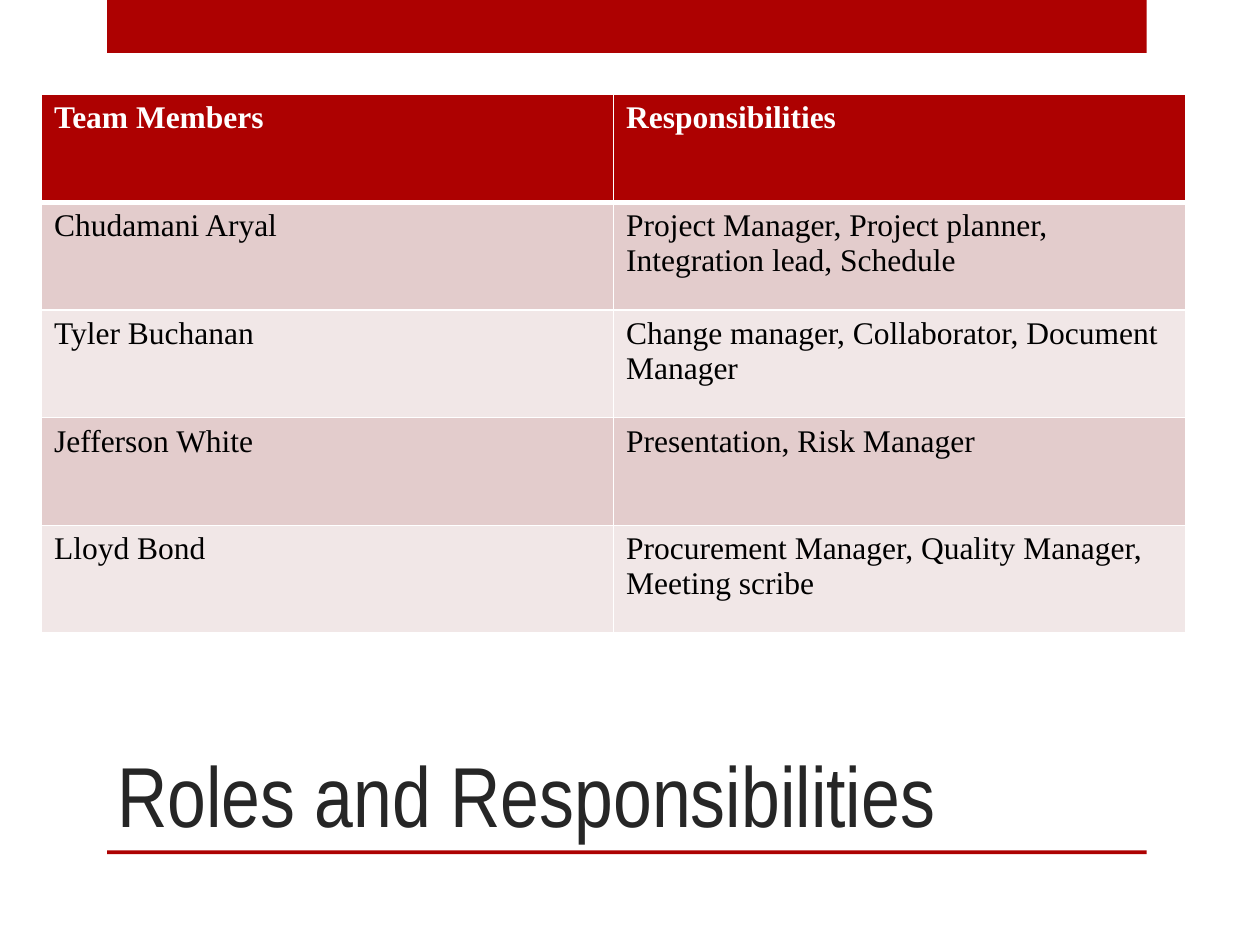
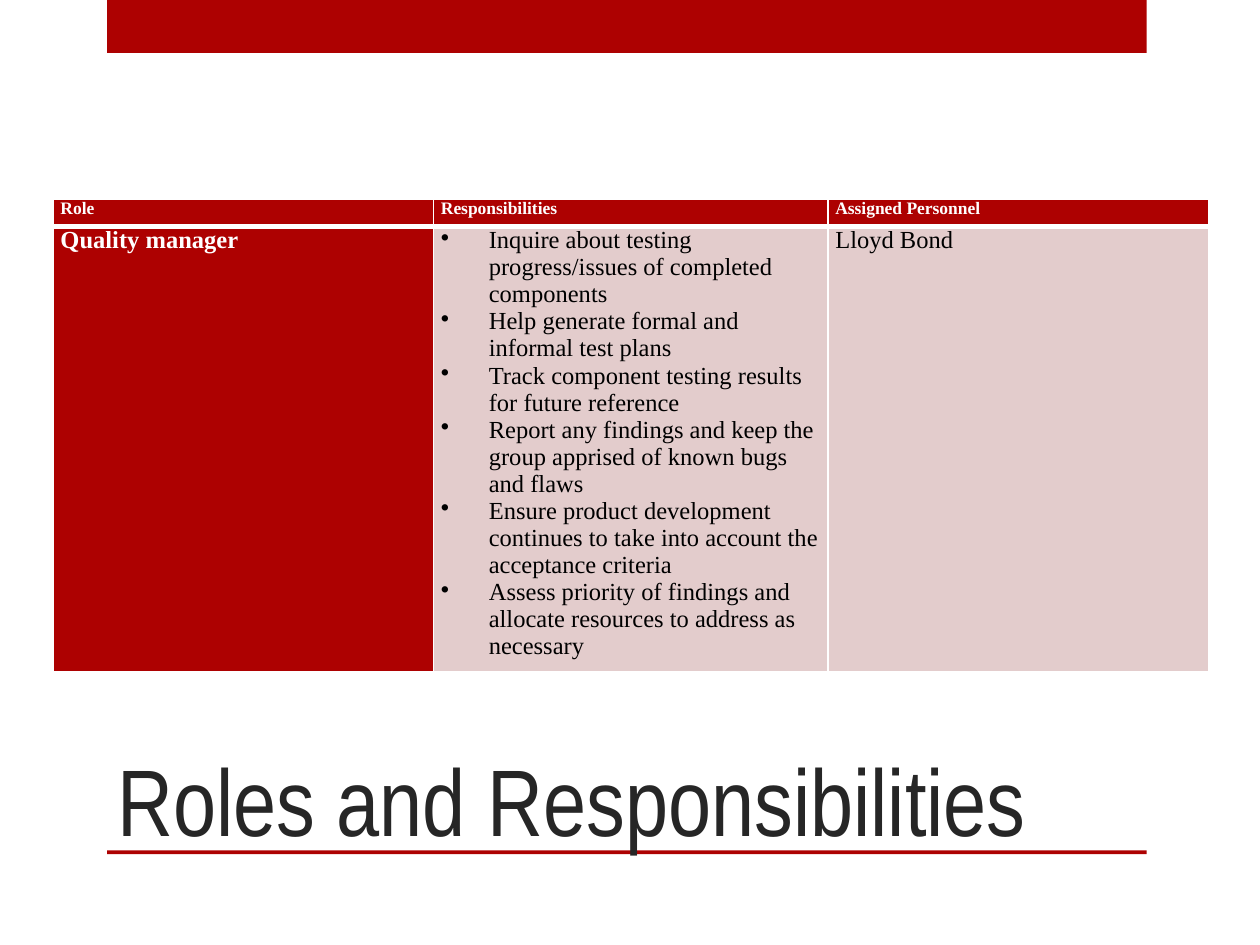
from lxml import etree
from pptx import Presentation
from pptx import util as u
from pptx.dml import color
from pptx.enum import shapes, text
from pptx.oxml import ns

COLORS = {
    "red": "AD0101",
    "rose": "E3CCCC",
    "pale": "F1E7E7",
    "white": "FFFFFF",
    "black": "000000",
    "title": "262626",
}
TITLE = "Roles and Responsibilities"
TITLE_FONT = "Arial Narrow"
TABLE_FONT = "Times New Roman"
TITLE_ONLY = 5
BULLET_INDENT = u.Inches(0.38)

TEAM = [
    ["Team Members", "Responsibilities"],
    ["Chudamani Aryal", "Project Manager, Project planner, Integration lead, Schedule"],
    ["Tyler Buchanan", "Change manager, Collaborator, Document Manager"],
    ["Jefferson White", "Presentation, Risk Manager"],
    ["Lloyd Bond", "Procurement Manager, Quality Manager, Meeting scribe"],
]
QUALITY_DUTIES = [
    "Inquire about testing progress/issues of completed components",
    "Help generate formal and informal test plans",
    "Track component testing results for future reference",
    "Report any findings and keep the group apprised of known bugs and flaws",
    "Ensure product development continues to take into account the acceptance criteria",
    "Assess priority of findings and allocate resources to address as necessary",
]
QUALITY = [
    ["Role", "Responsibilities", "Assigned Personnel"],
    ["Quality manager", QUALITY_DUTIES, "Lloyd Bond"],
]


def rgb(name):
    return color.RGBColor.from_string(COLORS[name])


def set_font(paragraph, name, size, color_name, bold=False):
    font = paragraph.font
    font.name, font.size, font.bold = name, u.Pt(size), bold
    font.color.rgb = rgb(color_name)


def add_band(page, top, height):
    band = page.shapes.add_shape(
        shapes.MSO_SHAPE.RECTANGLE,
        u.Inches(0.85), u.Inches(top), u.Inches(8.25), u.Inches(height))
    band.shadow.inherit = False
    band.fill.solid()
    band.fill.fore_color.rgb = rgb("red")
    band.line.fill.background()
    return band


def move_to_layout(band, layout):
    layout.shapes.element.append(band.element)


def set_title(page, size, left, top, width, height):
    title = page.shapes.title
    title.left, title.top = u.Inches(left), u.Inches(top)
    title.width, title.height = u.Inches(width), u.Inches(height)
    frame = title.text_frame
    frame.text = TITLE
    frame.word_wrap = True
    frame.auto_size = text.MSO_AUTO_SIZE.NONE
    frame.vertical_anchor = text.MSO_ANCHOR.BOTTOM
    paragraph = frame.paragraphs[0]
    paragraph.alignment = text.PP_ALIGN.LEFT
    set_font(paragraph, TITLE_FONT, size, "title")


def set_borders(cell, row):
    widths = {"L": 1, "R": 1, "T": 3 if row == 1 else 1, "B": 3 if row == 0 else 1}
    properties = cell._tc.get_or_add_tcPr()
    for side, width in widths.items():
        line = etree.SubElement(properties, ns.qn(f"a:ln{side}"), w=str(u.Pt(width)))
        fill = etree.SubElement(line, ns.qn("a:solidFill"))
        etree.SubElement(fill, ns.qn("a:srgbClr"), val=COLORS["white"])


def add_bullet(paragraph):
    properties = paragraph._p.get_or_add_pPr()
    properties.set("marL", str(BULLET_INDENT))
    properties.set("indent", str(-BULLET_INDENT))
    etree.SubElement(properties, ns.qn("a:buChar"), char="•")


def fill_cell(cell, content, row, size, accent, space_before):
    set_borders(cell, row)
    cell.fill.solid()
    cell.fill.fore_color.rgb = rgb("red" if accent else "rose" if row % 2 else "pale")
    bulleted = isinstance(content, list)
    cell.text = "\n".join(content) if bulleted else content
    for index, paragraph in enumerate(cell.text_frame.paragraphs):
        set_font(paragraph, TABLE_FONT, size, "white" if accent else "black", accent)
        paragraph.space_before = u.Pt(0 if index else space_before)
        if bulleted:
            add_bullet(paragraph)


def add_table(page, rows, left, top, widths, heights, sizes,
              accent_column=False, space_before=0, margins=None):
    table = page.shapes.add_table(
        len(rows), len(widths), u.Inches(left), u.Inches(top),
        u.Inches(sum(widths)), u.Inches(sum(heights))).table
    for column, width in zip(table.columns, widths):
        column.width = u.Inches(width)
    for line, height in zip(table.rows, heights):
        line.height = u.Inches(height)
    for row, contents in enumerate(rows):
        for column, content in enumerate(contents):
            cell = table.cell(row, column)
            if margins:
                cell.margin_left = cell.margin_right = u.Inches(margins[0])
                cell.margin_top = cell.margin_bottom = u.Inches(margins[1])
            accent = row == 0 or (accent_column and column == 0)
            fill_cell(cell, content, row, sizes[min(row, 1)], accent, space_before)


def main():
    deck = Presentation()
    deck.slide_width, deck.slide_height = u.Inches(10), u.Inches(7.5)
    layout = deck.slide_layouts[TITLE_ONLY]
    team_page, quality_page = (deck.slides.add_slide(layout) for _ in range(2))

    for top, height in ((0, 0.42), (6.75, 0.03)):
        move_to_layout(add_band(team_page, top, height), layout)

    set_title(team_page, 48.6, 0.83, 5, 7.42, 1.75)
    add_table(team_page, TEAM, 0.33, 0.75, [4.54] * 2, [0.855] * len(TEAM), (18, 18))

    set_title(quality_page, 54, 0.83, 5.83, 8.92, 1.01)
    add_table(quality_page, QUALITY, 0.42, 1.58, [3.02, 3.13, 3.02], [0.22, 3.53],
              (10, 14), accent_column=True, space_before=6, margins=(0.06, 0))

    deck.save("out.pptx")


if __name__ == "__main__":
    main()
